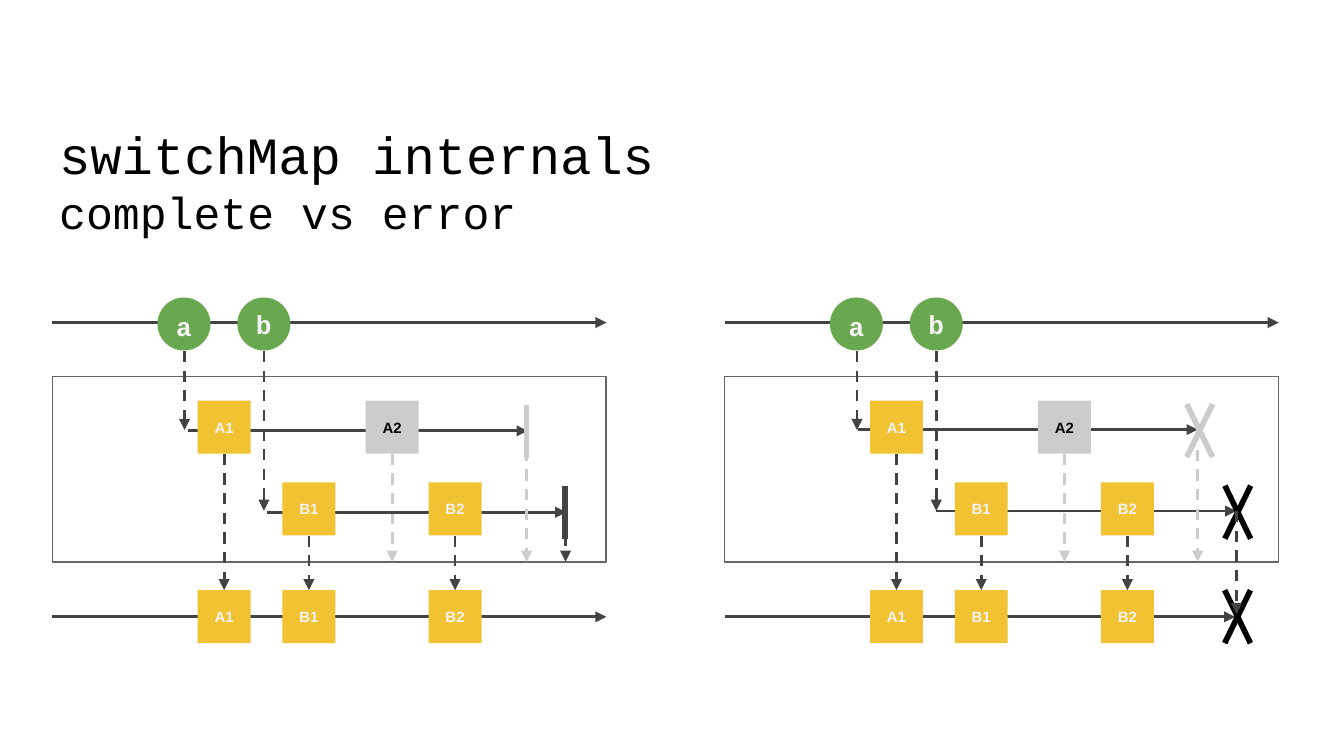
"""Build the slide that compares how switchMap completes and fails."""
from lxml import etree
from pptx import Presentation
from pptx.dml.color import RGBColor
from pptx.enum.dml import MSO_LINE
from pptx.enum.shapes import MSO_CONNECTOR, MSO_SHAPE
from pptx.enum.text import MSO_ANCHOR, MSO_AUTO_SIZE, PP_ALIGN
from pptx.oxml.ns import qn
from pptx.util import Pt

RECT, OVAL = MSO_SHAPE.RECTANGLE, MSO_SHAPE.OVAL
DASH, LINE = MSO_LINE.DASH, MSO_CONNECTOR.STRAIGHT
MID, LEFT, CENTER = MSO_ANCHOR.MIDDLE, PP_ALIGN.LEFT, PP_ALIGN.CENTER
NO_FIT = MSO_AUTO_SIZE.NONE
SANS, MONO = "Arial", "Courier New"
COLORS = {
    "white": "FFFFFF", "black": "000000", "dark": "434343", "edge": "666666",
    "gray": "CCCCCC", "gold": "F1C232", "green": "6AA84F", "pale": "F3F3F3",
}
SIZE = 28.4
TOP, ROW_A, ROW_B, OUT = 172.8, 214.7, 258.5, 316.2
FRAME_TOP, FRAME_END = 201.6, 301
A1, A2, B1, B2 = 105.9, 195.9, 151.3, 229.6


def tint(name):
    return RGBColor.from_string(COLORS[name])


class Board:
    """Hold the slide, the left edge of the current diagram and the style."""

    def __init__(self, slide):
        self.slide = slide
        self.left = 0

    def title(self, head, sub):
        shape = self.slide.shapes.title
        shape.left, shape.top = Pt(24.5), Pt(53.3)
        shape.width, shape.height = Pt(668.2), Pt(86.4)
        frame = shape.text_frame
        frame.auto_size, frame.word_wrap = NO_FIT, True
        frame.vertical_anchor = MID
        frame.margin_left = frame.margin_right = Pt(7.2)
        frame.margin_top = frame.margin_bottom = Pt(7.2)
        para = frame.paragraphs[0]
        para.alignment, para.line_spacing = LEFT, 1.0
        para.font.name, para.font.size = MONO, Pt(28)
        para.font.color.rgb = tint("black")
        para.add_run().text = head
        para.add_line_break()
        run = para.add_run()
        run.text = sub
        run.font.size = Pt(24)

    def shape(self, kind, x, y, wide, high, fill):
        item = self.slide.shapes.add_shape(
            kind, Pt(self.left + x), Pt(y), Pt(wide), Pt(high))
        item.shadow.inherit = False
        item.fill.solid()
        item.fill.fore_color.rgb = tint(fill)
        item.line.fill.background()
        return item

    def frame(self):
        item = self.shape(RECT, 28.1, FRAME_TOP, 296.6, FRAME_END - FRAME_TOP, "white")
        item.line.color.rgb = tint("edge")
        item.line.width = Pt(0.75)

    def label(self, item, text, face, size, color, inset):
        frame = item.text_frame
        frame.word_wrap, frame.vertical_anchor = True, MID
        frame.margin_left = frame.margin_right = Pt(inset)
        frame.margin_top = frame.margin_bottom = Pt(inset)
        para = frame.paragraphs[0]
        para.text, para.alignment = text, CENTER
        font = para.font
        font.name, font.size, font.bold = face, Pt(size), True
        font.color.rgb = tint(color)
        return para

    def cell(self, text, x, y, fill="gold", color="pale"):
        item = self.shape(RECT, x, y, SIZE, SIZE, fill)
        self.label(item, text, SANS, 8, color, 7.2)

    def ball(self, text, x, space=1.0):
        item = self.shape(OVAL, x, 159.4, SIZE, SIZE, "green")
        self.label(item, text, MONO, 14, "pale", 0).line_spacing = space

    def line(self, x1, y1, x2, y2, color="dark", width=1.5):
        item = self.slide.shapes.add_connector(
            LINE, Pt(self.left + x1), Pt(y1), Pt(self.left + x2), Pt(y2))
        item.line.color.rgb = tint(color)
        item.line.width = Pt(width)
        props = item._element.spPr
        etree.SubElement(props, qn("a:effectLst"))
        return item

    def arrow(self, x1, y, x2):
        self.point(self.line(x1, y, x2, y))

    def drop(self, x, start, end, color="dark"):
        item = self.line(x, start, x, end, color)
        item.line.dash_style = DASH
        self.point(item)

    def point(self, item):
        edge = item._element.spPr.find(qn("a:ln"))
        etree.SubElement(edge, qn("a:tailEnd"), type="triangle")

    def bar(self, x, y, color):
        self.line(x, y, x, y + SIZE, color, 3)

    def cross(self, x, y, color):
        for side in (6.9, -6.9):
            self.line(x + side, y, x - side, y + SIZE, color, 3)

    def flow(self, left, fails):
        self.left = left
        slip = 0 if fails else 1.3
        row_a, row_b = 230.2 + slip / 2, 273.8 + slip / 2
        self.frame()
        self.arrow(28.1, OUT + 14.3, 301.5 if fails else 324.9)
        self.arrow(28.1, TOP, 324.9)
        self.drop(98.9, 188, 230.4)
        self.arrow(99.3 + slip, row_a, 281.4 + slip)
        self.cell("A1", A1, ROW_A)
        self.cell("A1", A1, OUT)
        self.drop(A1 + SIZE / 2, ROW_A + SIZE, OUT)
        self.drop(141.4, 188, 273.7)
        self.cell("A2", A2, ROW_A, "gray", "black")
        self.drop(A2 + SIZE / 2, ROW_A + SIZE, FRAME_END, "gray")
        self.ball("b", 127.2)
        self.ball("a", 84.4, 1.15)
        self.arrow(141.5 + slip, row_b, 302.1 + slip)
        for text, x in (("B1", B1), ("B2", B2)):
            self.cell(text, x, ROW_B)
            self.cell(text, x, OUT)
            self.drop(x + SIZE / 2, ROW_B + SIZE, OUT)
        if fails:
            self.cross(282.5, 216.5, "gray")
            self.cross(302.8, OUT, "black")
            self.cross(302.9, 260.2, "black")
            self.drop(302.2, 273.8, 329)
        else:
            self.bar(282, 217, "gray")
            self.bar(302.6, 260.5, "dark")
            self.drop(303, 286.7, FRAME_END)
        self.drop(281.4 if fails else 282.1, 230.4, FRAME_END, "gray")


def main():
    deck = Presentation()
    deck.slide_width, deck.slide_height = Pt(720), Pt(405)
    board = Board(deck.slides.add_slide(deck.slide_layouts[5]))
    board.title("switchMap internals", "complete vs error")
    board.flow(360.2, True)
    board.flow(0, False)
    deck.save("out.pptx")


if __name__ == "__main__":
    main()
